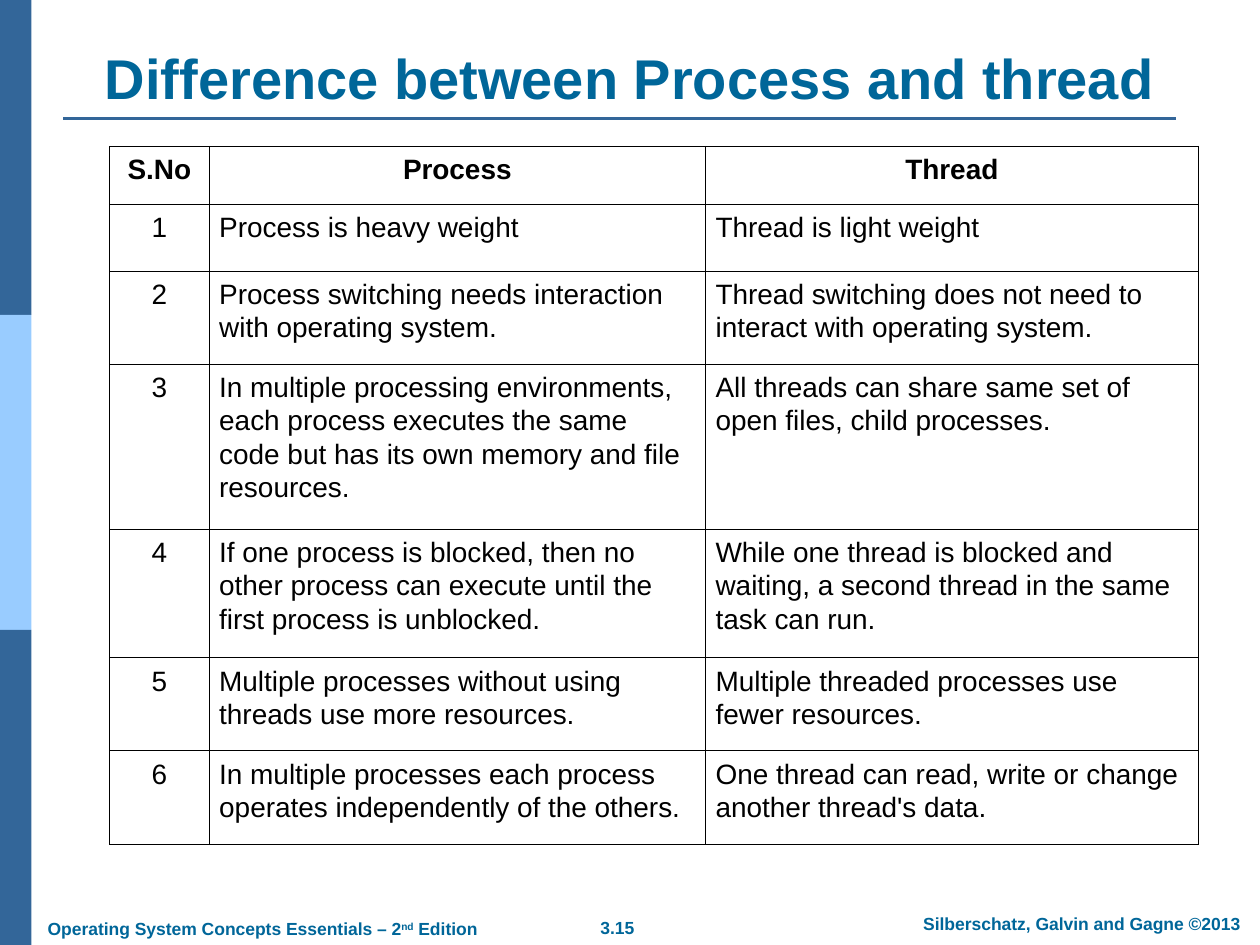
from dataclasses import dataclass
from lxml.etree import SubElement
from pptx import Presentation
from pptx.dml.color import RGBColor as Rgb
from pptx.enum.shapes import MSO_CONNECTOR as Link, MSO_SHAPE as Shape
from pptx.enum.text import MSO_ANCHOR as Anchor, MSO_AUTO_SIZE as Fit, PP_ALIGN as Align
from pptx.oxml.ns import qn
from pptx.util import Inches, Pt

TITLE = "Difference between Process and thread"
HEAD = ("S.No", "Process", "Thread")
PAIRS = [
    ("Process is heavy weight", "Thread is light weight"),
    ("Process switching needs interaction with operating system.",
     "Thread switching does not need to interact with operating system."),
    ("In multiple processing environments, each process executes the same code "
     "but has its own memory and file resources.",
     "All threads can share same set of open files, child processes."),
    ("If one process is blocked, then no other process can execute until the "
     "first process is unblocked.",
     "While one thread is blocked and waiting, a second thread in the same task can run."),
    ("Multiple processes without using threads use more resources.",
     "Multiple threaded processes use fewer resources."),
    ("In multiple processes each process operates independently of the others.",
     "One thread can read, write or change another thread's data."),
]
COLS = (0.79, 3.94, 3.91)
ROWS = (0.46, 0.53, 0.74, 1.31, 1.02, 0.74, 0.74)
# box, wrap, alignment, runs as (text, raised)
FOOT = [
    ((4.41, 7.23, 0.98, 0.27), False, Align.CENTER, [("3.15", False)]),
    ((7.1, 7.2, 2.97, 0.27), True, Align.CENTER,
     [("Silberschatz, Galvin and Gagne ©2013", False)]),
    ((0.28, 7.24, 3.61, 0.27), False, Align.LEFT,
     [("Operating System Concepts Essentials – 2", False), ("nd", True),
      (" Edition", False)]),
]


@dataclass(frozen=True)
class Theme:
    font: str = "Arial"
    bar: str = "336699"
    light: str = "99CCFF"
    accent: str = "006699"
    ink: str = "000000"
    paper: str = "FFFFFF"
    title: int = 32
    body: int = 16
    foot: int = 10


T = Theme()


def color(code):
    return Rgb.from_string(code)


def place(shape, *box):
    shape.left, shape.top, shape.width, shape.height = map(Inches, box)


def add_run(para, text, size, tint, bold=False):
    run = para.add_run()
    run.text = text
    font = run.font
    font.name, font.size, font.bold = T.font, Pt(size), bold
    font.color.rgb = color(tint)
    return run


def add_bars(slide, wide, high):
    step = high / 3
    for i, tint in enumerate((T.bar, T.light, T.bar)):
        bar = slide.shapes.add_shape(
            Shape.RECTANGLE, 0, Inches(i * step), Inches(wide / 40), Inches(step))
        bar.shadow.inherit = False
        bar.fill.solid()
        bar.fill.fore_color.rgb = color(tint)
        bar.line.fill.background()


def add_rule(slide):
    ends = map(Inches, (0.5, 0.94, 9.33, 0.94))
    rule = slide.shapes.add_connector(Link.STRAIGHT, *ends)
    rule.line.color.rgb = color(T.bar)
    rule.line.width = Pt(1.5)
    SubElement(rule._element.spPr, qn("a:effectLst"))


def add_foot(slide):
    for box, wrap, align, runs in FOOT:
        frame = slide.shapes.add_textbox(*map(Inches, box)).text_frame
        frame.word_wrap = wrap
        frame.auto_size = Fit.SHAPE_TO_FIT_TEXT
        para = frame.paragraphs[0]
        para.alignment = align
        for text, raised in runs:
            run = add_run(para, text, T.foot, T.accent, True)
            if raised:
                run._r.get_or_add_rPr().set("baseline", "30000")


def set_title(slide):
    title = slide.shapes.title
    place(title, 0.5, 0.3, 9, 0.63)
    frame = title.text_frame
    frame.auto_size = Fit.NONE
    frame.vertical_anchor = Anchor.BOTTOM
    para = frame.paragraphs[0]
    para.alignment = Align.CENTER
    add_run(para, TITLE, T.title, T.accent, True)


def add_edges(cell):
    """Draw a thin line on all four sides of a cell."""
    props = cell._tc.get_or_add_tcPr()
    for i, side in enumerate(("lnL", "lnR", "lnT", "lnB")):
        edge = props.makeelement(qn(f"a:{side}"), {"w": str(Pt(0.45))})
        props.insert(i, edge)
        fill = SubElement(edge, qn("a:solidFill"))
        SubElement(fill, qn("a:srgbClr"), val=T.ink)


def fill_cell(cell, text, head, center):
    cell.margin_left = cell.margin_right = Inches(0.08)
    cell.margin_top = cell.margin_bottom = Inches(0.05)
    cell.fill.solid()
    cell.fill.fore_color.rgb = color(T.paper)
    add_edges(cell)
    para = cell.text_frame.paragraphs[0]
    para.alignment = Align.CENTER if center else Align.LEFT
    para.line_spacing = 1.07
    para.space_after = Pt(8)
    add_run(para, text, T.body, T.ink, head)


def add_grid(slide):
    data = [HEAD] + [(str(n), *pair) for n, pair in enumerate(PAIRS, 1)]
    box = map(Inches, (0.87, 1.16, sum(COLS), sum(ROWS)))
    table = slide.shapes.add_table(len(ROWS), len(COLS), *box).table
    table.first_row = table.horz_banding = False
    for col, wide in zip(table.columns, COLS):
        col.width = Inches(wide)
    for r, (row, high) in enumerate(zip(table.rows, ROWS)):
        row.height = Inches(high)
        for c, text in enumerate(data[r]):
            fill_cell(table.cell(r, c), text, r == 0, r == 0 or c == 0)


def main():
    wide, high = 10, 7.5
    deck = Presentation()
    deck.slide_width, deck.slide_height = Inches(wide), Inches(high)
    slide = deck.slides.add_slide(deck.slide_layouts[5])
    add_bars(slide, wide, high)
    add_rule(slide)
    add_foot(slide)
    set_title(slide)
    add_grid(slide)
    deck.save("out.pptx")


if __name__ == "__main__":
    main()
